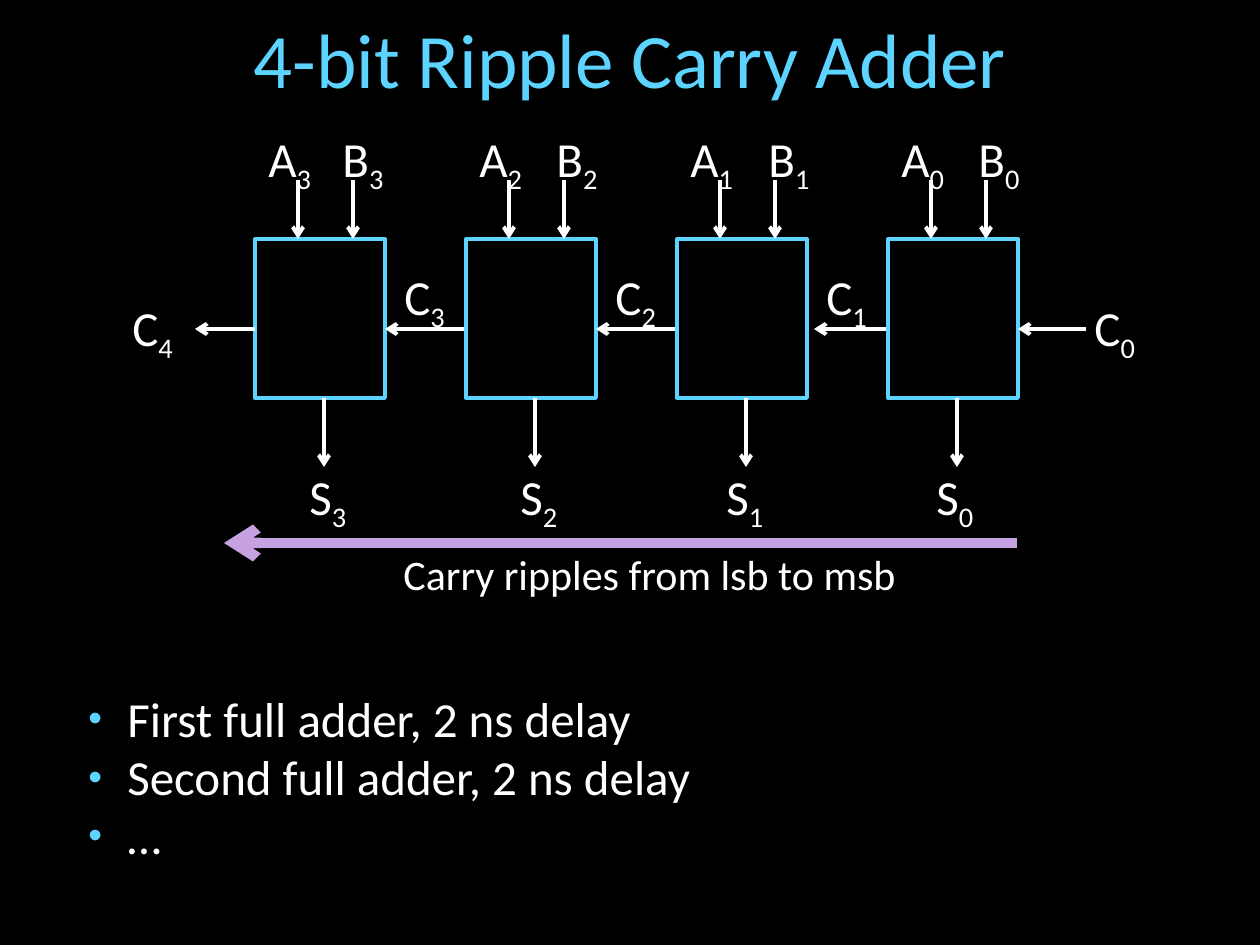
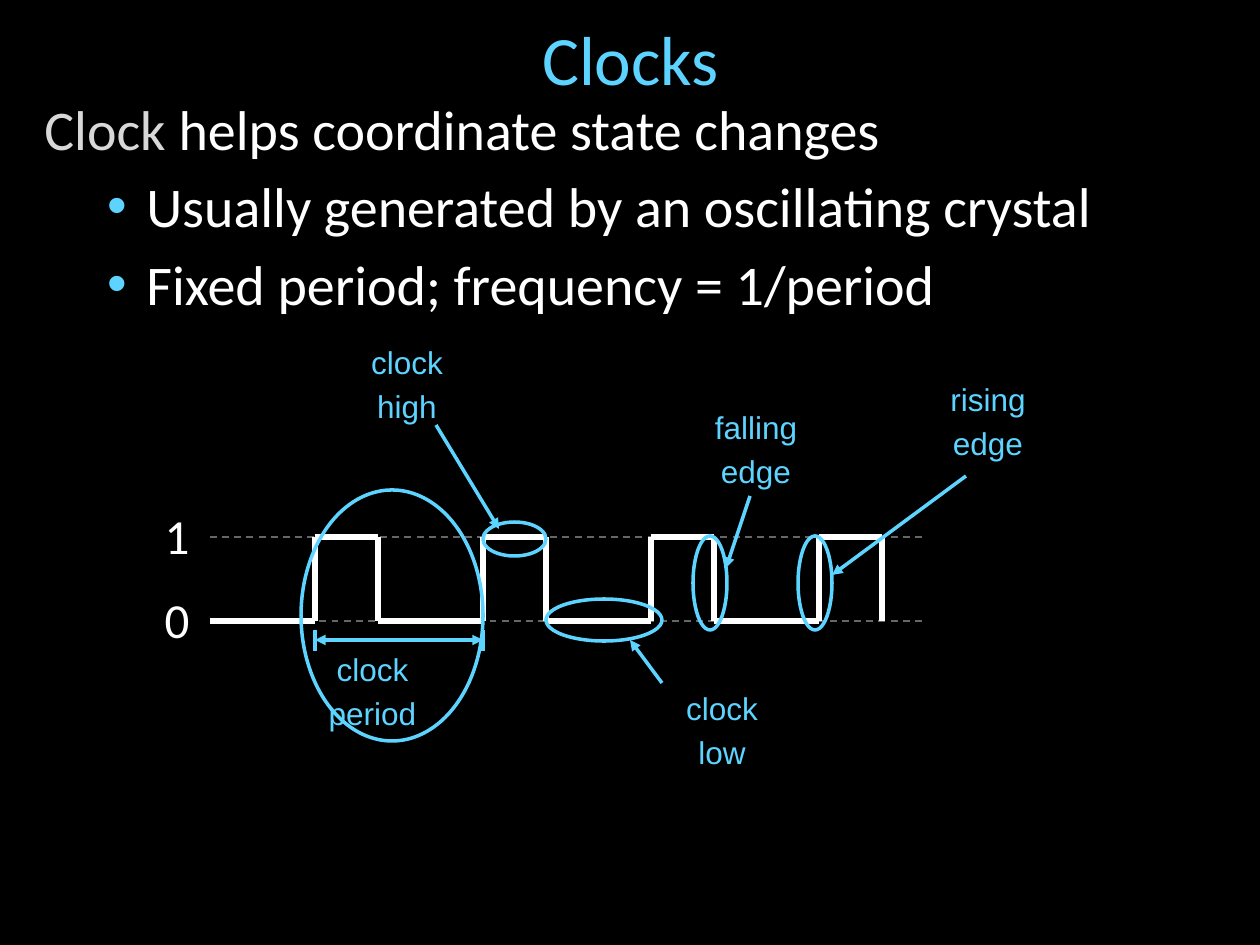
from lxml import etree
from pptx import Presentation
from pptx.dml.color import RGBColor
from pptx.enum.dml import MSO_LINE_DASH_STYLE as Dash
from pptx.enum.shapes import MSO_CONNECTOR, MSO_SHAPE
from pptx.enum.text import MSO_ANCHOR, PP_ALIGN
from pptx.oxml.ns import qn
from pptx.util import Emu, Pt

PX = 914400 / 126
COLORS = {
    "background": "000000",
    "accent": "5DD4FF",
    "text": "FFFFFF",
    "muted": "D8D8D8",
    "guide": "666666",
    "ripple": "C7A2E3",
}


def px(length):
    return Emu(round(length * PX))


def rgb(name):
    return RGBColor.from_string(COLORS[name])


def add_run(paragraph, text, size, color="text", font="Calibri"):
    run = paragraph.add_run()
    run.text = text
    run.font.size = Pt(size)
    run.font.name = font
    run.font.color.rgb = rgb(color)
    return run


def add_text_box(slide, box, wrap=False):
    frame = slide.shapes.add_textbox(*map(px, box)).text_frame
    frame.word_wrap = wrap
    return frame


def add_paragraph(frame, index):
    """Return the box's own paragraph first, and new ones after it."""
    return frame.add_paragraph() if index else frame.paragraphs[0]


def set_bullet(paragraph, margin, percent=100):
    properties = paragraph._p.get_or_add_pPr()
    properties.set("marL", str(px(margin)))
    properties.set("indent", str(px(-39)))
    color = etree.SubElement(properties, qn("a:buClr"))
    etree.SubElement(color, qn("a:srgbClr"), val=COLORS["accent"])
    etree.SubElement(properties, qn("a:buSzPct"), val=str(percent * 1000))
    etree.SubElement(properties, qn("a:buFont"), typeface="Arial")
    etree.SubElement(properties, qn("a:buChar"), char="•")


def add_line(slide, start, end, color="text", width=2.25, head=None, tail=None, dash=None):
    """Draw a straight line; head and tail name the arrowheads at start and end."""
    line = slide.shapes.add_connector(
        MSO_CONNECTOR.STRAIGHT, *map(px, (*start, *end)))
    line.line.color.rgb = rgb(color)
    line.line.width = Pt(width)
    if dash:
        line.line.dash_style = dash
    properties = line._element.spPr
    outline = properties.find(qn("a:ln"))
    for tag, kind in (("a:headEnd", head), ("a:tailEnd", tail)):
        if kind:
            etree.SubElement(outline, qn(tag), type=kind)
    etree.SubElement(properties, qn("a:effectLst"))


def add_outline(slide, kind, box, width):
    shape = slide.shapes.add_shape(kind, *map(px, box))
    shape.shadow.inherit = False
    shape.fill.background()
    shape.line.color.rgb = rgb("accent")
    shape.line.width = Pt(width)


def add_title_slide(presentation, text, size):
    slide = presentation.slides.add_slide(presentation.slide_layouts[5])
    title = slide.shapes.title
    title.left, title.top, title.width, title.height = map(px, (32, 21, 1197, 73))
    frame = title.text_frame
    frame.word_wrap = True
    frame.vertical_anchor = MSO_ANCHOR.MIDDLE
    paragraph = frame.paragraphs[0]
    paragraph.alignment = PP_ALIGN.CENTER
    add_run(paragraph, text, size, "accent")
    return slide


def add_signal(slide, letter, bit, left, top):
    """Write a signal name with its bit number as a subscript."""
    paragraph = add_text_box(slide, (left, top, 69, 72)).paragraphs[0]
    add_run(paragraph, letter, 28)
    subscript = add_run(paragraph, str(bit), 28)
    subscript.font._element.set("baseline", "-25000")


def add_full_adder(slide, box, bit, b_offset, sum_offset):
    left, top, width, height = box
    bottom = top + height
    add_outline(slide, MSO_SHAPE.RECTANGLE, box, 2.25)
    for input_x in (left + 43, left + 98):
        add_line(slide, (input_x, top - 59), (input_x, top), tail="arrow")
    add_line(slide, (left + 69, bottom), (left + 69, bottom + 69), tail="arrow")
    add_signal(slide, "A", bit, left + 1, top - 117)
    add_signal(slide, "B", bit, left + b_offset, top - 117)
    add_signal(slide, "S", bit, left + sum_offset, bottom + 62)


def add_adder_chain(slide, left, top):
    width, height, pitch = 130, 159, 211
    carry_y = top + 90
    label_offsets = [(75, 42), (78, 42), (79, 37), (78, 36)]
    for index, offsets in enumerate(label_offsets):
        adder_left = left + index * pitch
        bit = len(label_offsets) - 1 - index
        add_full_adder(slide, (adder_left, top, width, height), bit, *offsets)
        right = adder_left + width
        if bit:
            tip = right + (7 if bit == 1 else 0)
            add_line(slide, (adder_left + pitch, carry_y), (tip, carry_y), tail="arrow")
            add_signal(slide, "C", bit, right + 7, top + 21)
        else:
            add_line(slide, (right + 68, carry_y), (right, carry_y), tail="arrow")
            add_signal(slide, "C", 0, right + 64, top + 52)
    add_line(slide, (left, carry_y), (left - 60, carry_y), tail="arrow")
    add_signal(slide, "C", len(label_offsets), left - 135, top + 52)


def add_ripple_arrow(slide, left, top, width):
    add_line(slide, (left + width, top), (left, top), "ripple", 6, tail="arrow")
    caption = add_text_box(slide, (left + 167, top - 1, 522, 63))
    add_run(caption.paragraphs[0], "Carry ripples from lsb to msb", 24)


def add_delay_list(slide, box):
    frame = add_text_box(slide, box, wrap=True)
    delays = ["First full adder, 2 ns delay", "Second full adder, 2 ns delay", "…"]
    for index, text in enumerate(delays):
        paragraph = add_paragraph(frame, index)
        set_bullet(paragraph, 39, 80)
        add_run(paragraph, text, 28)


def build_adder_slide(presentation):
    slide = add_title_slide(presentation, "4-bit Ripple Carry Adder", 44)
    add_adder_chain(slide, 255, 239)
    add_ripple_arrow(slide, 224, 543, 793)
    add_delay_list(slide, (76, 682, 1043, 190))


def add_clock_facts(slide, box):
    frame = add_text_box(slide, box, wrap=True)
    lead = frame.paragraphs[0]
    add_run(lead, "Clock", 32, "muted")
    add_run(lead, " helps coordinate state changes", 32)
    for text in ("Usually generated by an oscillating crystal",
                 "Fixed period; frequency = 1/period"):
        paragraph = frame.add_paragraph()
        paragraph.level = 1
        paragraph.space_before = Pt(6)
        set_bullet(paragraph, 102)
        add_run(paragraph, text, 32)


def add_centered_label(slide, lines, box, **style):
    frame = add_text_box(slide, box)
    for index, text in enumerate(lines):
        paragraph = add_paragraph(frame, index)
        paragraph.alignment = PP_ALIGN.CENTER
        paragraph.line_spacing = 1.16
        add_run(paragraph, text, **style)


def add_waveform(slide, left, top):
    low_width, high_width, height = 105, 63, 84
    bottom = top + height
    for level, y in (("1", top), ("0", bottom)):
        add_line(slide, (left, y), (left + 714, y), "guide", 1, dash=Dash.DASH)
        add_centered_label(slide, [level], (left - 58, y - 47, 50, 77), size=28)
    for pulse in range(4):
        start = left + pulse * (low_width + high_width)
        rise = start + low_width
        fall = rise + high_width
        corners = [(start, bottom), (rise, bottom), (rise, top), (fall, top), (fall, bottom)]
        for corner, following in zip(corners, corners[1:]):
            add_line(slide, corner, following, width=3)


def add_period_bar(slide, left, top, width):
    right, middle = left + width, top + 10
    for x in (left, right):
        add_line(slide, (x, top), (x, top + 21), "accent", 2)
    add_line(slide, (left, middle), (right, middle), "accent", 2,
             head="triangle", tail="triangle")


def add_callouts(slide, left, top):
    """Circle and name the parts of the waveform whose top left is given."""
    # words, label box, pointer start and end, ellipse
    callouts = [
        ("clock period", (106, 101, 113, 101), None, (91, -47, 182, 251)),
        ("clock high", (148, -206, 98, 101), ((226, -112), (289, -8)), (273, -15, 63, 34)),
        ("clock low", (463, 140, 98, 101), ((452, 146), (420, 103)), (336, 62, 116, 42)),
        ("falling edge", (492, -141, 108, 101), ((540, -41), (516, 31)), (483, -1, 34, 94)),
        ("rising edge", (727, -169, 102, 101), ((756, -61), (622, 38)), (588, -1, 34, 94)),
    ]

    def place(x, y, *size):
        return (left + x, top + y, *size)

    for words, label_box, pointer, ellipse in callouts:
        add_centered_label(slide, words.split(), place(*label_box),
                           size=18, color="accent", font="Arial")
        if pointer:
            start, end = pointer
            add_line(slide, place(*start), place(*end), "accent", 2, tail="triangle")
        add_outline(slide, MSO_SHAPE.OVAL, place(*ellipse), 2)


def build_clock_slide(presentation):
    slide = add_title_slide(presentation, "Clocks", 39.6)
    add_clock_facts(slide, (32, 88, 1197, 242))
    add_waveform(slide, 210, 537)
    add_period_bar(slide, 315, 630, 168)
    add_callouts(slide, 210, 537)


def main():
    presentation = Presentation()
    presentation.slide_width, presentation.slide_height = px(1260), px(945)
    background = presentation.slide_master.background.fill
    background.solid()
    background.fore_color.rgb = rgb("background")
    build_adder_slide(presentation)
    build_clock_slide(presentation)
    presentation.save("out.pptx")


if __name__ == "__main__":
    main()
